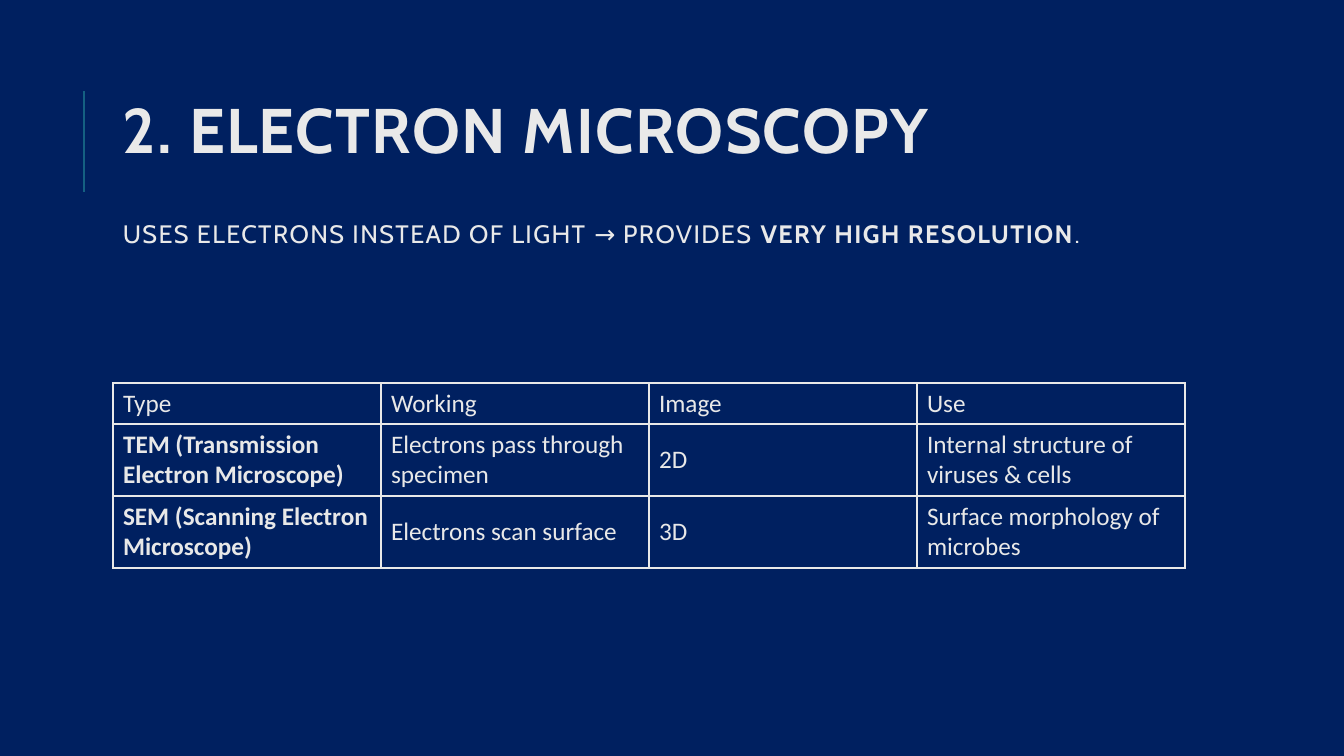
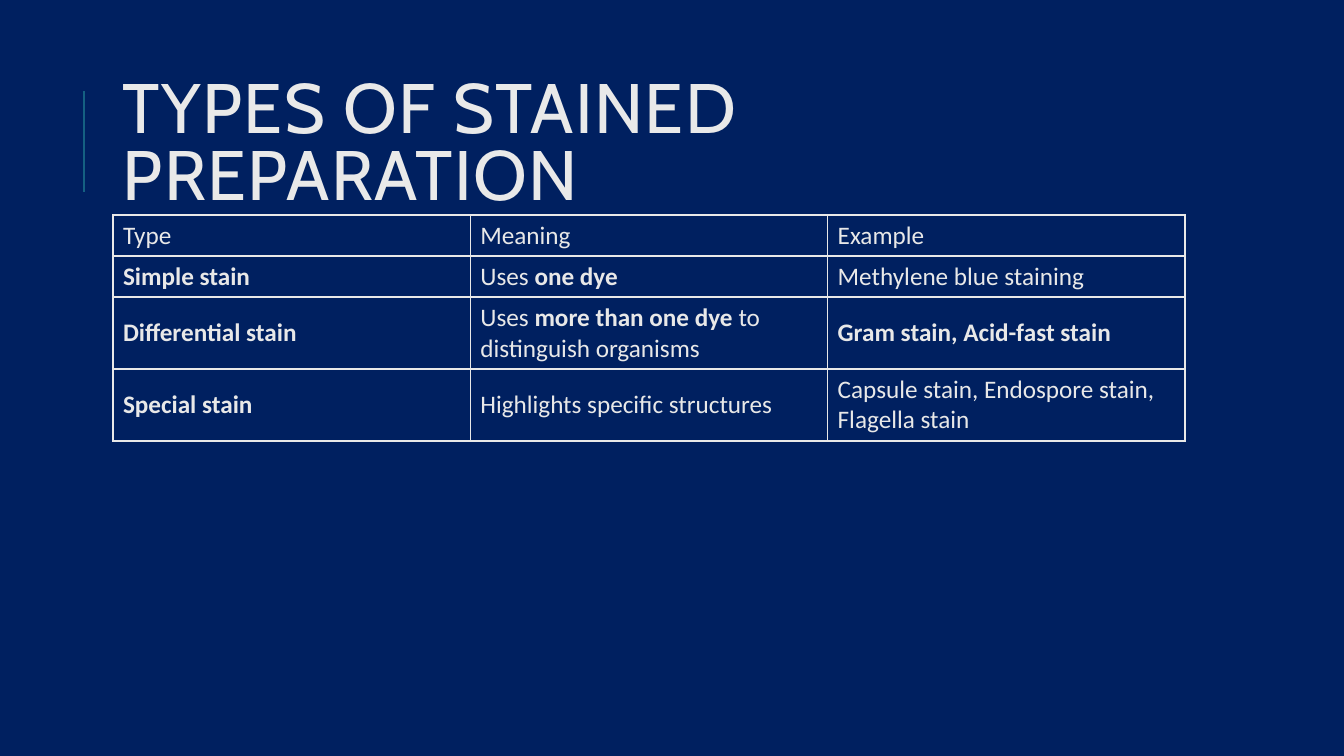
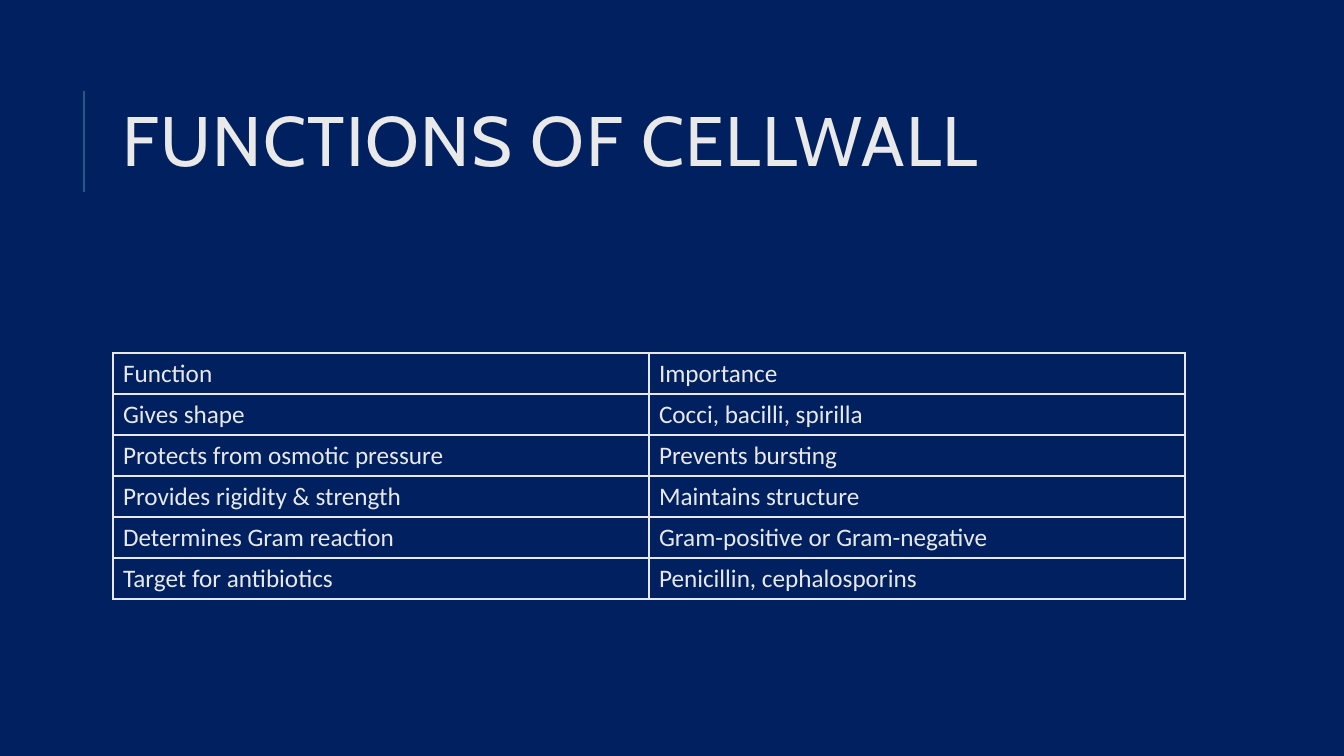
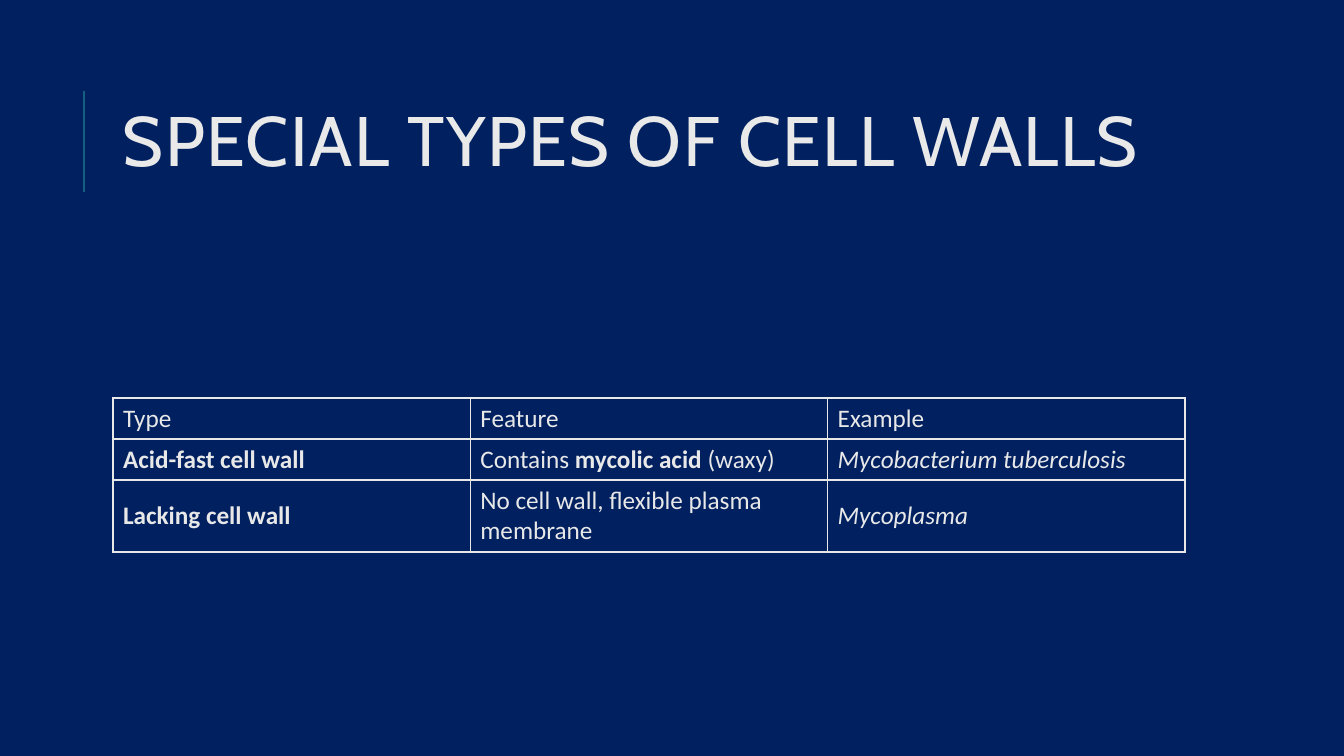
"""Builds four microbiology slides, each with a title and a ruled table."""
from lxml.etree import SubElement
from pptx import Presentation
from pptx.dml.color import RGBColor
from pptx.enum.shapes import MSO_CONNECTOR
from pptx.enum.text import MSO_ANCHOR as ANCHOR
from pptx.oxml.ns import qn
from pptx.util import Pt

PX = 914400 / 100.8
NAVY = RGBColor(0x00, 0x20, 0x60)
TEAL = RGBColor(0x15, 0x60, 0x82)
TITLE_GREY = RGBColor(0xE9, 0xE9, 0xE9)
TABLE_GREY = RGBColor(0xE8, 0xE8, 0xE8)
LEFT, WIDTH, TITLE_HEIGHT = 113, 1072, 165
BAR_X, BAR_TOP, BAR_BOTTOM = 84, 91, 192
ONE_LINE, TWO_LINES = 41, 72

SLIDES = [
    {
        "heading": [("*2. ELECTRON MICROSCOPY*", 45),
                    ("USES ELECTRONS INSTEAD OF LIGHT → PROVIDES *VERY HIGH RESOLUTION*.", 18)],
        "heading_top": 94,
        "table_top": 383,
        "two_line_rows": (1, 2),
        "rows": [
            ("Type", "Working", "Image", "Use"),
            ("*TEM (Transmission Electron Microscope)*", "Electrons pass through specimen",
             "2D", "Internal structure of viruses & cells"),
            ("*SEM (Scanning Electron Microscope)*", "Electrons scan surface",
             "3D", "Surface morphology of microbes"),
        ],
    },
    {
        "heading": [("TYPES OF STAINED PREPARATION", 50)],
        "heading_top": 64,
        "table_top": 215,
        "two_line_rows": (2, 3),
        "rows": [
            ("Type", "Meaning", "Example"),
            ("*Simple stain*", "Uses *one dye*", "Methylene blue staining"),
            ("*Differential stain*", "Uses *more than one dye* to distinguish organisms",
             "*Gram stain, Acid-fast stain*"),
            ("*Special stain*", "Highlights specific structures",
             "Capsule stain, Endospore stain, Flagella stain"),
        ],
    },
    {
        "heading": [("FUNCTIONS OF CELLWALL", 50)],
        "heading_top": 64,
        "table_top": 353,
        "two_line_rows": (),
        "rows": [
            ("Function", "Importance"),
            ("Gives shape", "Cocci, bacilli, spirilla"),
            ("Protects from osmotic pressure", "Prevents bursting"),
            ("Provides rigidity & strength", "Maintains structure"),
            ("Determines Gram reaction", "Gram-positive or Gram-negative"),
            ("Target for antibiotics", "Penicillin, cephalosporins"),
        ],
    },
    {
        "heading": [("SPECIAL TYPES OF CELL WALLS", 50)],
        "heading_top": 64,
        "table_top": 398,
        "two_line_rows": (2,),
        "rows": [
            ("Type", "Feature", "Example"),
            ("*Acid-fast cell wall*", "Contains *mycolic acid* (waxy)",
             "_Mycobacterium tuberculosis_"),
            ("*Lacking cell wall*", "No cell wall, flexible plasma membrane", "_Mycoplasma_"),
        ],
    },
]


def px(length):
    """Turn px into EMU."""
    return round(length * PX)


def write(paragraph, marked, face, size, colour):
    """Fill a paragraph; *stars* mark bold and _underscores_ mark italic."""
    font = paragraph.font
    font.name, font.size, font.color.rgb = face, Pt(size), colour
    font.italic = marked.startswith("_")
    pieces = [(piece, index % 2 == 1)
              for index, piece in enumerate(marked.strip("_").split("*")) if piece]
    font.bold = all(bold for _, bold in pieces)
    for piece, bold in pieces:
        run = paragraph.add_run()
        run.text = piece
        if bold != font.bold:
            run.font.bold = bold


prs = Presentation()
prs.slide_width, prs.slide_height = px(1344), px(756)
background = prs.slide_master.background.fill
background.solid()
background.fore_color.rgb = NAVY

for content in SLIDES:
    slide = prs.slides.add_slide(prs.slide_layouts[6])

    bar = slide.shapes.add_connector(
        MSO_CONNECTOR.STRAIGHT, px(BAR_X), px(BAR_BOTTOM), px(BAR_X), px(BAR_TOP))
    bar.line.color.rgb, bar.line.width = TEAL, Pt(1.5)
    SubElement(bar.line._get_or_add_ln().getparent(), qn("a:effectLst"))

    heading = slide.shapes.add_textbox(
        px(LEFT), px(content["heading_top"]), px(WIDTH), px(TITLE_HEIGHT)).text_frame
    heading.word_wrap, heading.vertical_anchor = True, ANCHOR.MIDDLE
    for index, (line, size) in enumerate(content["heading"]):
        paragraph = heading.add_paragraph() if index else heading.paragraphs[0]
        paragraph.line_spacing = 0.8
        if index:
            paragraph.space_before = Pt(42)
        write(paragraph, line, "Cabin", size, TITLE_GREY)
        paragraph._p.pPr.find(qn("a:defRPr")).set("spc", "100")

    rows = content["rows"]
    heights = [TWO_LINES if index in content["two_line_rows"] else ONE_LINE
               for index in range(len(rows))]
    grid = slide.shapes.add_table(
        len(rows), len(rows[0]), px(LEFT), px(content["table_top"]),
        px(WIDTH), px(sum(heights))).table
    grid.first_row = grid.horz_banding = False
    for column in grid.columns:
        column.width = px(WIDTH / len(rows[0]))
    for row, height, texts in zip(grid.rows, heights, rows):
        row.height = px(height)
        for cell, text in zip(row.cells, texts):
            cell.vertical_anchor = ANCHOR.MIDDLE
            write(cell.text_frame.paragraphs[0], text, "Calibri", 18, TABLE_GREY)
            for side in ("lnL", "lnR", "lnT", "lnB"):
                border = SubElement(cell._tc.get_or_add_tcPr(), qn(f"a:{side}"), w=str(Pt(1)))
                paint = SubElement(border, qn("a:solidFill"))
                SubElement(paint, qn("a:srgbClr"), val=str(TABLE_GREY))
            cell.fill.background()

prs.save("out.pptx")
